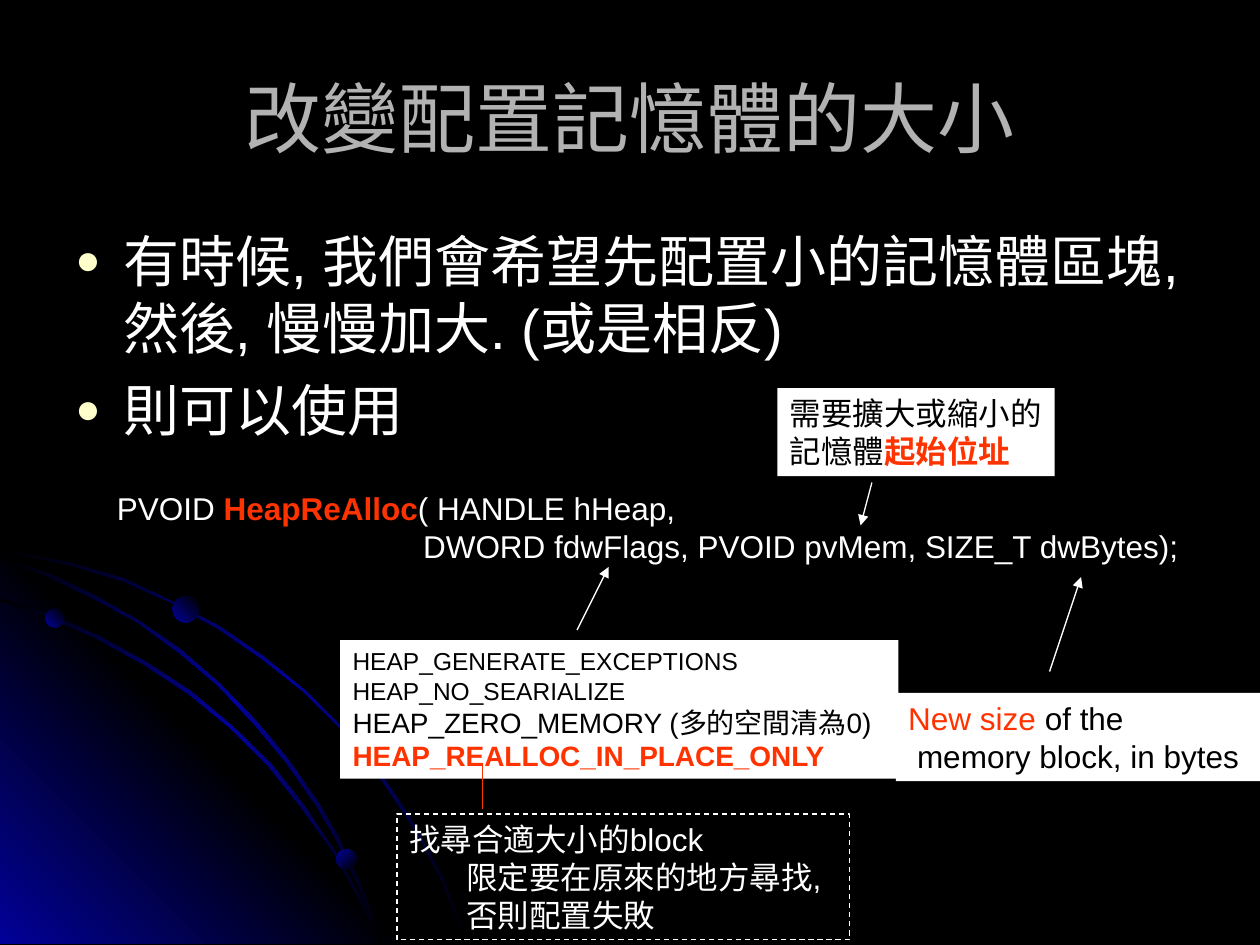
from copy import deepcopy
from lxml.etree import SubElement
from pptx import Presentation
from pptx.dml.color import RGBColor
from pptx.enum.dml import MSO_LINE
from pptx.enum.shapes import MSO_CONNECTOR, MSO_SHAPE
from pptx.enum.text import MSO_ANCHOR, PP_ALIGN
from pptx.oxml.ns import qn
from pptx.util import Inches, Pt

BLACK = RGBColor(0, 0, 0)
WHITE = RGBColor(255, 255, 255)
GRAY = RGBColor(0xB2, 0xB2, 0xB2)
RED = RGBColor(0xFF, 0x33, 0)
BLUE = RGBColor(1, 1, 0x99)
CREAM = "FFFFCC"

BAND = (BLACK, BLUE, BLACK)
CURVES = [
    (BAND, 225, [
        (0.57, 4.47), (0.28, 4.41), (0, 4.35), (0, 4.38), (0.28, 4.43), (0.56, 4.49),
        (0.97, 4.61), (1.35, 4.78), (1.73, 4.99), (2.08, 5.23), (2.41, 5.49),
        (2.71, 5.79), (2.98, 6.12), (3.23, 6.49), (3.37, 6.73), (3.5, 6.98),
        (3.6, 7.23), (3.7, 7.49), (3.72, 7.49), (3.62, 7.23), (3.52, 6.98),
        (3.39, 6.73), (3.25, 6.48), (3, 6.11), (2.72, 5.78), (2.42, 5.48),
        (2.09, 5.21), (1.74, 4.97), (1.36, 4.77), (0.98, 4.59)]),
    ((BLUE, BLACK, BLUE), 135, [(3.22, 7.49), (0, 7.49), (0, 4.27)]),
    (BAND, 225, [
        (2.85, 7.14), (2.94, 7.32), (3.01, 7.49), (3.03, 7.49), (2.96, 7.3),
        (2.86, 7.12), (2.66, 6.76), (2.42, 6.4), (2.15, 6.06), (1.84, 5.76),
        (1.52, 5.49), (1.17, 5.26), (0.79, 5.05), (0.41, 4.88), (0, 4.75), (0, 4.77),
        (0.39, 4.9), (0.77, 5.07), (1.15, 5.28), (1.5, 5.51), (1.83, 5.78),
        (2.13, 6.08), (2.4, 6.42), (2.65, 6.77)]),
    (BAND, 225, [
        (0, 4.42), (0, 4.44), (0.36, 4.57), (0.74, 4.75), (1.09, 4.94), (1.42, 5.18),
        (1.73, 5.44), (2.02, 5.75), (2.27, 6.05), (2.52, 6.41), (2.67, 6.67),
        (2.8, 6.94), (2.92, 7.22), (3.01, 7.49), (3.03, 7.49), (2.94, 7.2),
        (2.82, 6.93), (2.69, 6.65), (2.54, 6.39), (2.29, 6.03), (2.04, 5.73),
        (1.75, 5.43), (1.44, 5.16), (1.11, 4.93), (0.76, 4.73), (0.39, 4.55)]),
]
DOTS = [(0.36, 4.83, 0.15, 135), (2.67, 6.74, 0.16, 225), (1.37, 4.73, 0.21, 135)]

TITLE = "改變配置記憶體的大小"
BODY = ["有時候, 我們會希望先配置小的記憶體區塊,然後, 慢慢加大. (或是相反)", "則可以使用"]

HOT = {"color": RED, "bold": True}
CALL = [
    (0, [("PVOID ", {}), ("HeapReAlloc", HOT), ("( HANDLE hHeap,", {})]),
    (2.43, [("DWORD fdwFlags, PVOID pvMem, SIZE_T dwBytes);", {})]),
]
START = [
    (0, [("需要擴大或縮小的", {})]),
    (0, [("記憶體", {}), ("起始位址", HOT)]),
]
SIZE = [
    (0, [("New size", {"color": RED}), (" of the", {})]),
    (0.07, [("memory block, in bytes", {})]),
]
FLAGS = [
    (0, [("HEAP_GENERATE_EXCEPTIONS", {"size": 14})]),
    (0, [("HEAP_NO_SEARIALIZE", {"size": 14})]),
    (0, [("HEAP_ZERO_MEMORY (多的空間清為0)", {"size": 16})]),
    (0, [("HEAP_REALLOC_IN_PLACE_ONLY", {"size": 16, **HOT})]),
]
PLACE = [
    (0, [("找尋合適大小的block", {})]),
    (0.45, [("限定要在原來的地方尋找,", {})]),
    (0.45, [("否則配置失敗", {})]),
]
MID, TOP = MSO_ANCHOR.MIDDLE, MSO_ANCHOR.TOP
BOXES = [
    (CALL, (0.83, 3.83, 8.7, 0.7), WHITE, None, False, MID),
    (START, (6.17, 3.08, 2.2, 0.7), BLACK, WHITE, False, TOP),
    (SIZE, (7.11, 5.5, 2.89, 0.7), BLACK, WHITE, False, MID),
    (FLAGS, (2.7, 5.08, 4.43, 1.1), BLACK, WHITE, False, TOP),
    (PLACE, (3.15, 6.46, 3.59, 1), WHITE, None, True, TOP),
]
LINES = [
    (6.92, 3.83, 6.83, 4.17, WHITE, True),
    (8.33, 5.33, 8.58, 4.58, WHITE, True),
    (4.58, 5, 4.83, 4.5, WHITE, True),
    (3.83, 6.08, 3.83, 6.42, RED, False),
]


def write(para, text, size=18, color=WHITE, bold=False):
    run = para.add_run()
    run.text = text
    font = run.font
    font.name, font.size, font.bold = "Arial", Pt(size), bold
    font.color.rgb = color


def shade(shape, colors, angle):
    shape.shadow.inherit = False
    shape.line.fill.background()
    fill = shape.fill
    fill.gradient()
    fill.gradient_angle = 360 - angle
    stops = shape._element.spPr.find(".//" + qn("a:gsLst"))
    while len(stops) < len(colors):
        stops.append(deepcopy(stops[0]))
    for i, (stop, color) in enumerate(zip(fill.gradient_stops, colors)):
        stop.position = i / (len(colors) - 1)
        stop.color.rgb = color


def bullet(para):
    props = para._p.get_or_add_pPr()
    props.set("marL", str(Inches(0.38)))
    props.set("indent", str(-Inches(0.38)))
    SubElement(SubElement(props, qn("a:buClr")), qn("a:srgbClr"), val=CREAM)
    SubElement(props, qn("a:buSzPct"), val="75000")
    SubElement(props, qn("a:buFont"), typeface="Arial")
    SubElement(props, qn("a:buChar"), char="●")


def add_box(shapes, rows, spot, color, back, dash, anchor):
    box = shapes.add_shape(MSO_SHAPE.RECTANGLE, *map(Inches, spot))
    box.shadow.inherit = False
    if back is None:
        box.fill.background()
    else:
        box.fill.solid()
        box.fill.fore_color.rgb = back
    if dash:
        box.line.color.rgb, box.line.width = WHITE, Pt(0.75)
        box.line.dash_style = MSO_LINE.DASH
    else:
        box.line.fill.background()
    frame = box.text_frame
    frame.word_wrap, frame.vertical_anchor, frame.margin_right = True, anchor, 0
    for i, (left, runs) in enumerate(rows):
        para = frame.add_paragraph() if i else frame.paragraphs[0]
        para.alignment = PP_ALIGN.LEFT
        if left:
            para._p.get_or_add_pPr().set("marL", str(Inches(left)))
        for text, style in runs:
            write(para, text, **{"color": color, **style})


def add_line(shapes, x1, y1, x2, y2, color, arrow):
    line = shapes.add_connector(MSO_CONNECTOR.STRAIGHT, *map(Inches, (x1, y1, x2, y2)))
    line.line.color.rgb, line.line.width = color, Pt(0.75)
    if arrow:
        SubElement(line.line._get_or_add_ln(), qn("a:tailEnd"), type="triangle")
    SubElement(line._element.spPr, qn("a:effectLst"))


def main():
    deck = Presentation()
    deck.slide_width, deck.slide_height = Inches(10), Inches(7.5)
    slide = deck.slides.add_slide(deck.slide_layouts[5])
    slide.background.fill.solid()
    slide.background.fill.fore_color.rgb = BLACK
    shapes = slide.shapes

    for colors, angle, points in CURVES:
        dots = [(Inches(x), Inches(y)) for x, y in points]
        path = shapes.build_freeform(*dots[0])
        path.add_line_segments(dots[1:], close=True)
        shade(path.convert_to_shape(), colors, angle)
    for x, y, d, angle in DOTS:
        dot = shapes.add_shape(MSO_SHAPE.OVAL, *map(Inches, (x, y, d, d)))
        shade(dot, (BLACK, BLUE), angle)

    title = shapes.title
    title.left, title.top, title.width, title.height = map(Inches, (0.5, 0.3, 9, 1.25))
    title.text_frame.vertical_anchor = MID
    para = title.text_frame.paragraphs[0]
    para.alignment = PP_ALIGN.CENTER
    write(para, TITLE, size=44, color=GRAY)

    frame = shapes.add_textbox(*map(Inches, (0.5, 1.75, 9, 4.95))).text_frame
    frame.word_wrap = True
    for i, text in enumerate(BODY):
        para = frame.add_paragraph() if i else frame.paragraphs[0]
        para.space_before = Pt(8)
        bullet(para)
        write(para, text, size=32)

    for box in BOXES:
        add_box(shapes, *box)
    for line in LINES:
        add_line(shapes, *line)
    deck.save("out.pptx")


if __name__ == "__main__":
    main()
